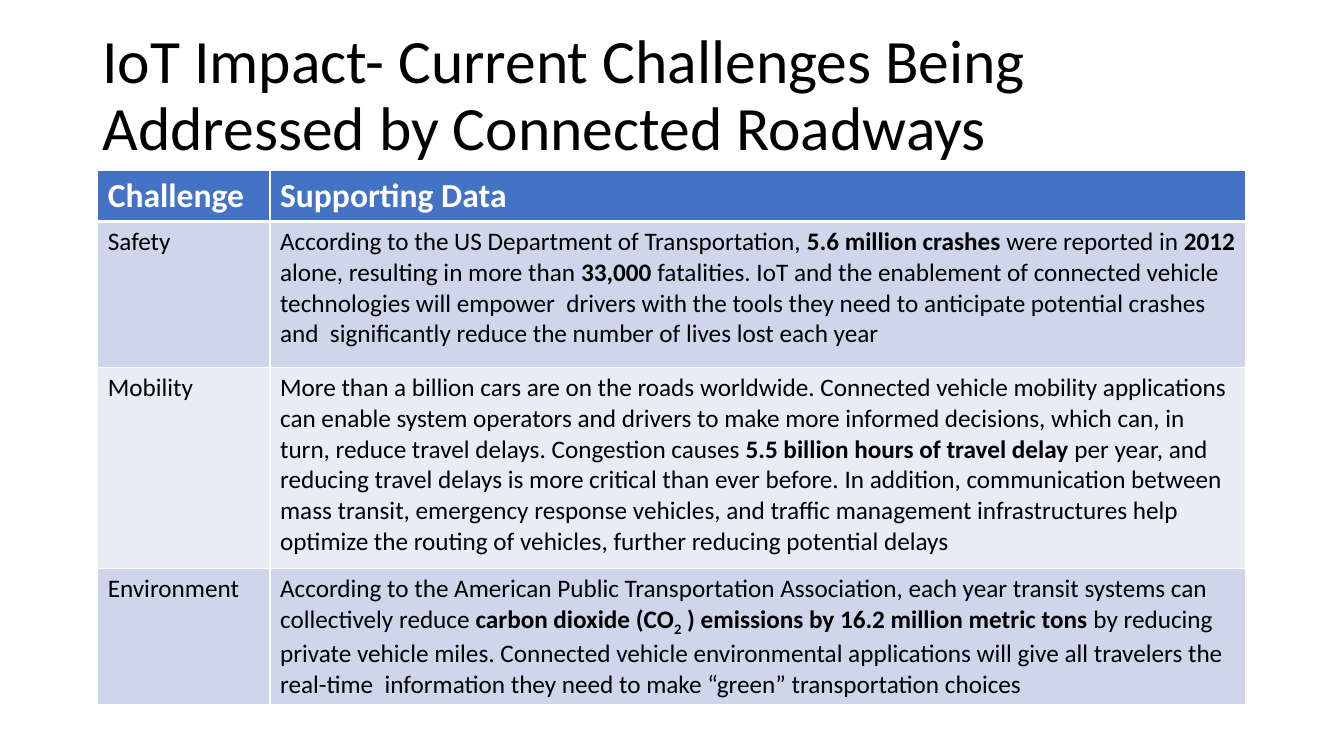
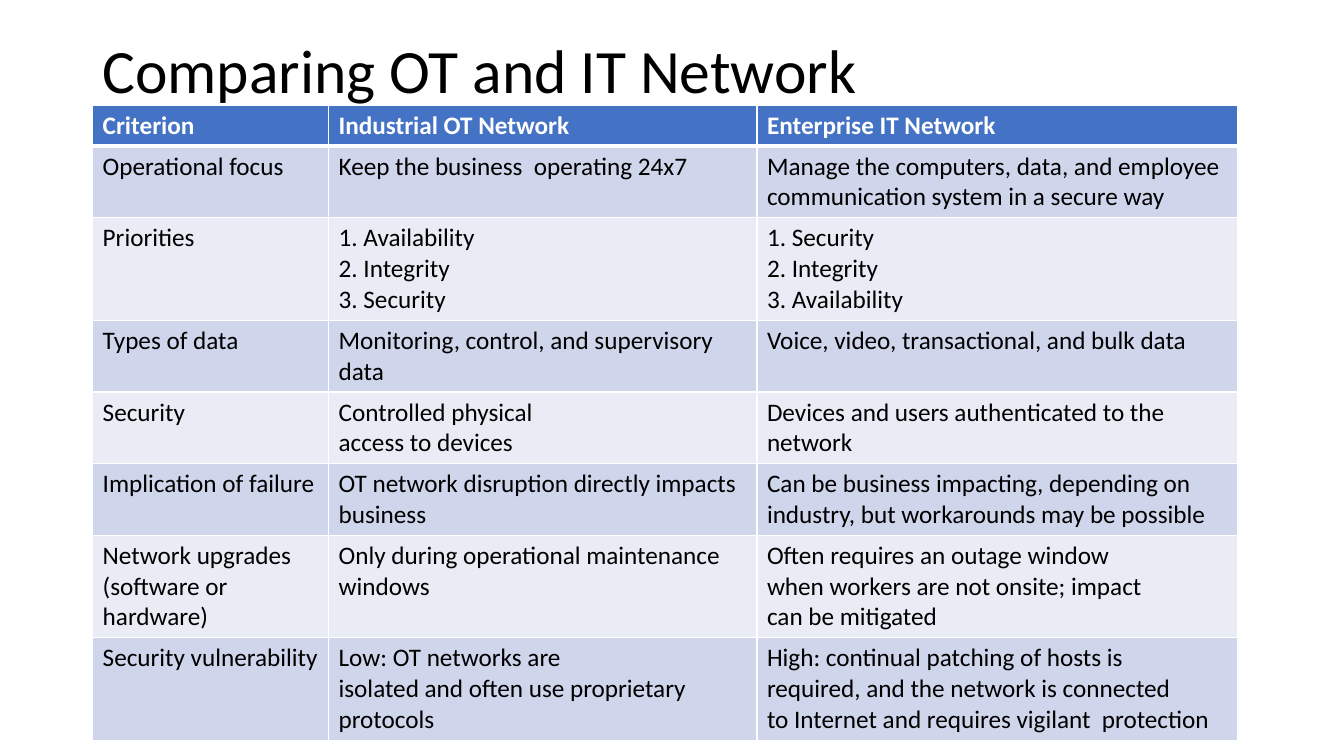
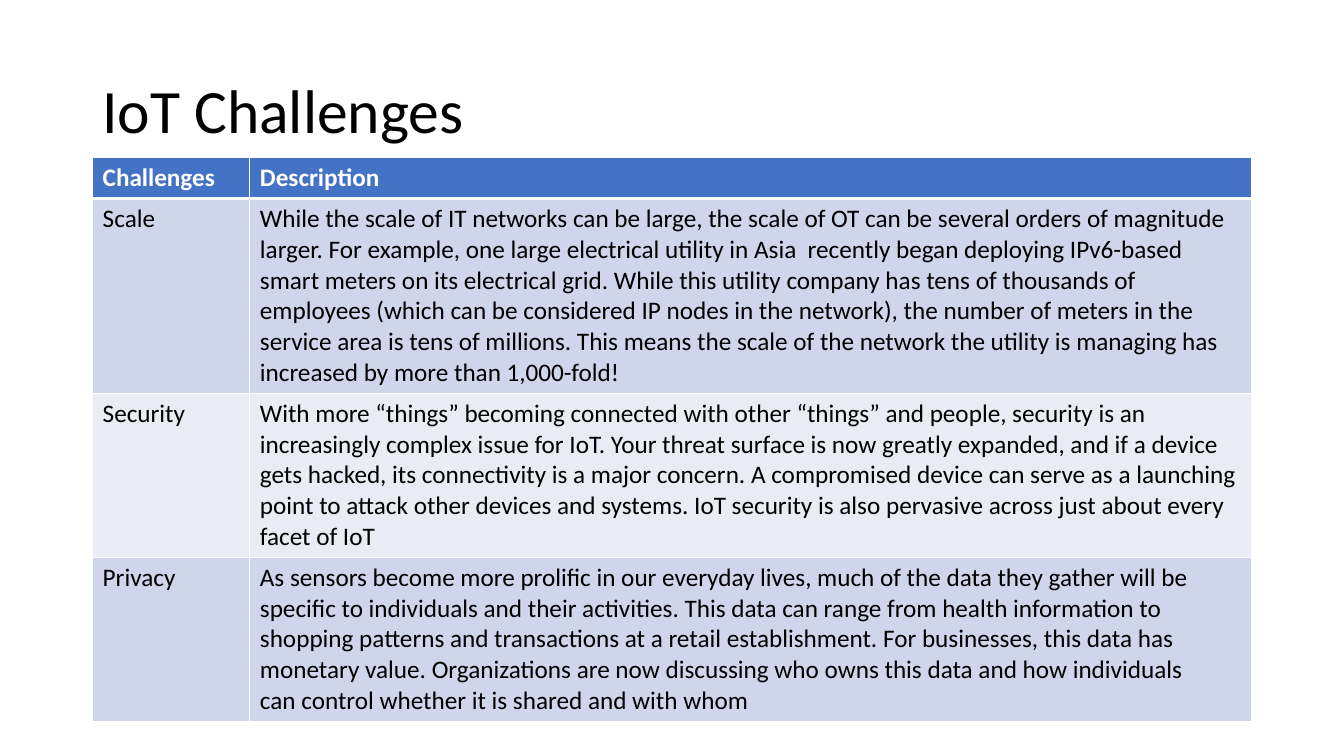
import pptx
import pptx.util
import pptx.dml.color
import pptx.enum.text
import pptx.oxml.ns
import lxml.etree

Pt = pptx.util.Pt
FACE = "Calibri"
BLACK, WHITE, BLUE = "000000", "FFFFFF", "4472C4"
BANDS = ("E9EBF5", "CFD5EA")
SIZE = 18

# In cell text, *...* is bold, ~...~ is subscript and a line break starts a paragraph.
SLIDES = [
    {
        "title": "IoT Impact- Current Challenges Being Addressed by Connected Roadways",
        "top": 17.3, "at": (69.8, 121.7), "head": 24,
        "cols": (123.1, 697), "rows": (35, 104.3, 143.5, 97.2),
        "cells": [
            ("Challenge", "Supporting Data"),
            ("Safety",
             "According to the US Department of Transportation, *5.6 million crashes *were "
             "reported in *2012* alone, resulting in more than *33,000* fatalities. IoT and "
             "the enablement of connected vehicle technologies will empower  drivers with the "
             "tools they need to anticipate potential crashes and  significantly reduce the "
             "number of lives lost each year"),
            ("Mobility",
             "More than a billion cars are on the roads worldwide. Connected vehicle mobility "
             "applications can enable system operators and drivers to make more informed "
             "decisions, which can, in turn, reduce travel delays. Congestion causes *5.5 "
             "billion hours of travel delay *per year, and reducing travel delays is more "
             "critical than ever before. In addition, communication between mass transit, "
             "emergency response vehicles, and traffic management infrastructures help "
             "optimize the routing of vehicles, further reducing potential delays"),
            ("Environment",
             "According to the American Public Transportation Association, each year transit "
             "systems can collectively reduce *carbon dioxide (CO~2~ ) emissions by 16.2 "
             "million metric tons *by reducing private vehicle miles. Connected vehicle "
             "environmental applications will give all travelers the real-time  information "
             "they need to make “green” transportation choices"),
        ],
    },
    {
        "title": "Comparing OT and IT Network",
        "top": 0, "at": (66.2, 75.2), "head": SIZE,
        "cols": (168.5, 306, 343.4),
        "rows": (29.2, 51.2, 73.2, 51.2, 51.2, 51.2, 73.2, 73.2),
        "cells": [
            ("Criterion", "Industrial OT Network", "Enterprise IT Network"),
            ("Operational focus", "Keep the business  operating 24x7",
             "Manage the computers, data, and employee communication system in a secure way"),
            ("Priorities", "1. Availability\n2. Integrity\n3. Security",
             "1. Security\n2. Integrity\n3. Availability"),
            ("Types of data", "Monitoring, control, and supervisory data",
             "Voice, video, transactional, and bulk data"),
            ("Security", "Controlled physical\naccess to devices",
             "Devices and users authenticated to the  network"),
            ("Implication of failure", "OT network disruption directly impacts business",
             "Can be business impacting, depending on industry, but workarounds may be possible"),
            ("Network upgrades\n(software or hardware)",
             "Only during operational maintenance windows",
             "Often requires an outage window\nwhen workers are not onsite; impact\n"
             "can be mitigated"),
            ("Security vulnerability",
             "Low: OT networks are\nisolated and often use proprietary\nprotocols",
             "High: continual patching of hosts is  required, and the network is connected\n"
             "to Internet and requires vigilant  protection"),
        ],
    },
    {
        "title": "IoT Challenges",
        "top": 28.8, "at": (66.2, 112.6), "head": SIZE,
        "cols": (112.3, 715.7), "rows": (29.2, 139.2, 117.2, 117.2),
        "cells": [
            ("Challenges", "Description"),
            ("Scale",
             "While the scale of IT networks can be large, the scale of OT can be several "
             "orders of magnitude larger. For example, one large electrical utility in Asia  "
             "recently began deploying IPv6-based smart meters on its electrical grid. While "
             "this utility company has tens of thousands of employees (which can be considered "
             "IP nodes in the network), the number of meters in the  service area is tens of "
             "millions. This means the scale of the network the utility is managing has "
             "increased by more than 1,000-fold!"),
            ("Security",
             "With more “things” becoming connected with other “things” and people, security "
             "is an increasingly complex issue for IoT. Your threat surface is now greatly "
             "expanded, and if a device gets hacked, its connectivity is a major concern. A "
             "compromised device can serve as a launching point to attack other devices and "
             "systems. IoT security is also pervasive across just about every facet of IoT"),
            ("Privacy",
             "As sensors become more prolific in our everyday lives, much of the data they "
             "gather will be specific to individuals and their activities. This data can range "
             "from health information to shopping patterns and transactions at a retail "
             "establishment. For businesses, this data has monetary value. Organizations are "
             "now discussing who owns this data and how individuals\n"
             "can control whether it is shared and with whom"),
        ],
    },
]


def color(code):
    return pptx.dml.color.RGBColor.from_string(code)


def style(item, **form):
    for name, value in form.items():
        setattr(item, name, value)


def ink(font, size, code, bold=False):
    style(font, name=FACE, size=Pt(size), bold=bold)
    font.color.rgb = color(code)


def write(frame, text, size, code, bold):
    """Fill a cell, reading the bold and subscript marks."""
    for n, line in enumerate(text.split("\n")):
        para = frame.add_paragraph() if n else frame.paragraphs[0]
        for i, part in enumerate(line.split("*")):
            for j, piece in enumerate(part.split("~")):
                if not piece:
                    continue
                run = para.add_run()
                run.text = piece
                ink(run.font, size, code, bold or i % 2 == 1)
                if j % 2:
                    run.font._element.set("baseline", "-25000")


def edge(cell, row):
    """Draw white cell borders, thick between the header and the body."""
    props = cell._tc.get_or_add_tcPr()
    qn = pptx.oxml.ns.qn
    wide = {"T": row == 1, "B": row == 0}
    for side in "LRTB":
        line = lxml.etree.SubElement(props, qn("a:ln" + side))
        line.set("w", str(Pt(3 if wide.get(side) else 1)))
        fill = lxml.etree.SubElement(line, qn("a:solidFill"))
        lxml.etree.SubElement(fill, qn("a:srgbClr")).set("val", WHITE)


def add_title(slide, text, top):
    title = slide.shapes.title
    style(title, left=Pt(66), top=Pt(top), width=Pt(828), height=Pt(104.4))
    frame = title.text_frame
    style(frame, text=text, word_wrap=True,
          auto_size=pptx.enum.text.MSO_AUTO_SIZE.NONE,
          vertical_anchor=pptx.enum.text.MSO_ANCHOR.MIDDLE)
    para = frame.paragraphs[0]
    style(para, alignment=pptx.enum.text.PP_ALIGN.LEFT, line_spacing=0.9)
    ink(para.runs[0].font, 44, BLACK)


def add_grid(slide, data):
    cols, rows = data["cols"], data["rows"]
    left, top = data["at"]
    grid = slide.shapes.add_table(len(rows), len(cols), Pt(left), Pt(top),
                                  Pt(sum(cols)), Pt(sum(rows))).table
    for col, width in zip(grid.columns, cols):
        col.width = Pt(width)
    for r, (texts, height) in enumerate(zip(data["cells"], rows)):
        grid.rows[r].height = Pt(height)
        head = r == 0
        size, code = (data["head"], WHITE) if head else (SIZE, BLACK)
        for c, text in enumerate(texts):
            cell = grid.cell(r, c)
            write(cell.text_frame, text, size, code, head)
            edge(cell, r)
            cell.fill.solid()
            cell.fill.fore_color.rgb = color(BLUE if head else BANDS[r % 2])


def main():
    deck = pptx.Presentation()
    style(deck, slide_width=Pt(960), slide_height=Pt(540))
    for data in SLIDES:
        slide = deck.slides.add_slide(deck.slide_layouts[5])
        add_title(slide, data["title"], data["top"])
        add_grid(slide, data)
    deck.save("out.pptx")


if __name__ == "__main__":
    main()
